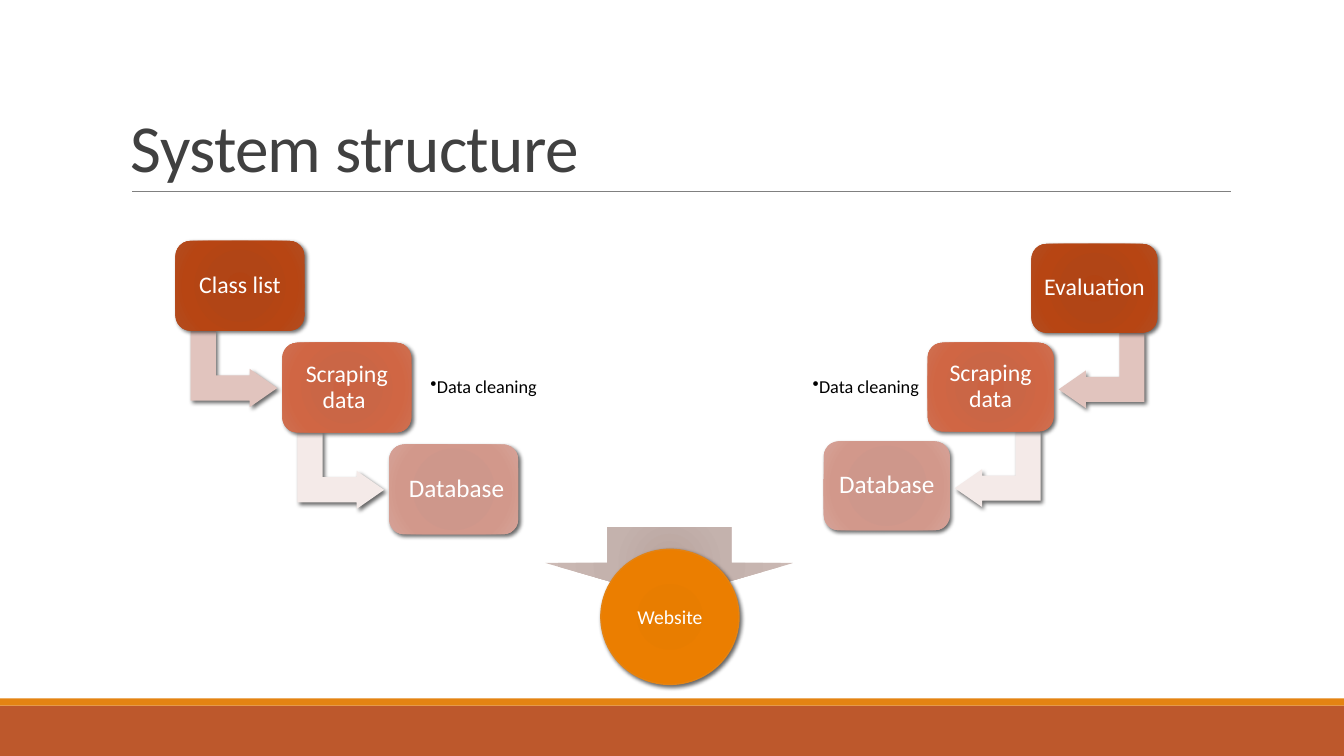
from lxml import etree
from pptx import Presentation
from pptx.dml.color import RGBColor
from pptx.enum.shapes import MSO_CONNECTOR, MSO_SHAPE
from pptx.enum.text import MSO_ANCHOR, PP_ALIGN
from pptx.oxml.ns import qn
from pptx.util import Inches, Pt

RECTANGLE = MSO_SHAPE.RECTANGLE
ROUNDED = MSO_SHAPE.ROUNDED_RECTANGLE
ELLIPSE = MSO_SHAPE.OVAL
DOWN_ARROW = MSO_SHAPE.DOWN_ARROW
BENT_UP_ARROW = MSO_SHAPE.BENT_UP_ARROW
BENT_ARROW = MSO_SHAPE.BENT_ARROW
STRAIGHT = MSO_CONNECTOR.STRAIGHT
MIDDLE, BOTTOM = MSO_ANCHOR.MIDDLE, MSO_ANCHOR.BOTTOM
LEFT, CENTER = PP_ALIGN.LEFT, PP_ALIGN.CENTER

COLORS = {
    "white": "FFFFFF", "black": "000000", "title": "404040", "rule": "808080",
    "rust": "BD582C", "orange": "E48312",
    "first_arrow": "E1C4BE", "second_arrow": "F4EAE8",
}
GRADIENTS = {
    "source": {0: "B24313", 34: "B14516", 70: "B74513", 100: "B24D21"},
    "scraping": {0: "CB6342", 34: "CA6646", 70: "D06644", 100: "CE7052"},
    "database": {0: "CD9488", 34: "CE978B", 70: "D2988B", 100: "D7A398"},
    "website": {0: "E57B00", 34: "E87D00", 70: "EB7E00", 100: "EF8407"},
    "down_arrow": {0: "B9A49E", 45: "C4B2AD", 100: "CCBAB5"},
}
LEVELS = ["source", "scraping", "database"]
ARROW_FILLS = ["first_arrow", "second_arrow"]


def rgb(name):
    return RGBColor.from_string(COLORS[name])


def add_element(parent, tag, **attributes):
    return etree.SubElement(parent, qn(tag), attributes)


def fill_radial(shape, stops):
    shape.fill.gradient()
    gradient = shape._element.spPr.find(qn("a:gradFill"))
    for child in list(gradient):
        gradient.remove(child)
    stop_list = add_element(gradient, "a:gsLst")
    for position, color in stops.items():
        stop = add_element(stop_list, "a:gs", pos=str(position * 1000))
        add_element(stop, "a:srgbClr", val=color)
    circle = add_element(gradient, "a:path", path="circle")
    add_element(circle, "a:fillToRect", **dict.fromkeys("ltrb", "100000"))


def add_shadow(shape):
    effects = shape._element.spPr.find(qn("a:effectLst"))
    shadow = add_element(effects, "a:outerShdw", blurRad=str(Pt(3)), dist=str(Pt(2)),
                         dir="2700000", algn="ctr", rotWithShape="0")
    color = add_element(shadow, "a:srgbClr", val=COLORS["black"])
    add_element(color, "a:alpha", val="60000")


def draw_shape(slide, kind, box, fill, line=None, shadow=False, rotation=0, adjustments=()):
    shape = slide.shapes.add_shape(kind, *map(Inches, box))
    shape.rotation = rotation
    for index, value in enumerate(adjustments):
        shape.adjustments[index] = value
    if fill in GRADIENTS:
        fill_radial(shape, GRADIENTS[fill])
    else:
        shape.fill.solid()
        shape.fill.fore_color.rgb = rgb(fill)
    if line:
        shape.line.color.rgb = rgb(line)
        shape.line.width = Pt(1)
    else:
        shape.line.fill.background()
    shape.shadow.inherit = False
    if shadow:
        add_shadow(shape)
    return shape


def write_text(shape, text, size, color="white", align=CENTER, anchor=MIDDLE,
               inset=(0.07, 0.07), line_spacing=0.9, tracking=None, bullet=False):
    frame = shape.text_frame
    frame.word_wrap = True
    frame.vertical_anchor = anchor
    frame.margin_left = frame.margin_right = Inches(inset[0])
    frame.margin_top = frame.margin_bottom = Inches(inset[1])
    paragraph = frame.paragraphs[0]
    paragraph.alignment = align
    paragraph.line_spacing = line_spacing
    if bullet:
        properties = paragraph._p.get_or_add_pPr()
        properties.set("marL", str(Inches(0.12)))
        properties.set("indent", "0")
        add_element(properties, "a:buChar", char="•")
    run = paragraph.add_run()
    run.text = text
    run.font.name = "Calibri"
    run.font.size = Pt(size)
    run.font.color.rgb = rgb(color)
    if tracking is not None:
        run._r.get_or_add_rPr().set("spc", str(round(tracking * 100)))


def add_label(slide, box, text, **text_format):
    write_text(slide.shapes.add_textbox(*map(Inches, box)), text, **text_format)


def add_footer(slide, left, top, width, height):
    stripe = 0.07
    draw_shape(slide, RECTANGLE, (left, top + stripe, width, height - stripe), "rust")
    draw_shape(slide, RECTANGLE, (left, top, width, stripe), "orange")


def add_title(slide, left, top, width, height):
    bottom = top + height
    rule = slide.shapes.add_connector(
        STRAIGHT, Inches(left + 0.11), Inches(bottom), Inches(left + 11.01), Inches(bottom))
    rule.line.color.rgb = rgb("rule")
    rule.line.width = Pt(0.5)
    add_element(rule._element.spPr, "a:effectLst")
    add_label(slide, (left, top, width, height), "System structure", size=48, color="title",
              align=LEFT, anchor=BOTTOM, inset=(0.1, 0.05), line_spacing=0.85, tracking=-0.5)


def add_website(slide, left, top, width, height):
    draw_shape(slide, DOWN_ARROW, (left, top, width, 0.71), "down_arrow")
    circle = draw_shape(slide, ELLIPSE, (left + 0.55, top + 0.22, 1.37, height - 0.22),
                        "website", line="orange", shadow=True)
    write_text(circle, "Website", size=14, line_spacing=1)


def add_staircase(slide, left, top, card, step, names, arrow, note):
    for index, (name, level) in enumerate(zip(names, LEVELS)):
        x, y = left + index * step[0], top + index * step[1]
        if index < len(ARROW_FILLS):
            dx, dy, width, height = arrow["box"]
            draw_shape(slide, arrow["kind"], (x + dx, y + dy, width, height), ARROW_FILLS[index],
                       shadow=True, rotation=arrow["rotation"], adjustments=arrow["adjustments"])
        box = draw_shape(slide, ROUNDED, (x, y, *card), level, shadow=True, adjustments=[0.167])
        write_text(box, name, size=18 if level == "database" else 17)
        if level == "scraping":
            dx, width = note
            add_label(slide, (x + dx, y + 0.08, width, 0.72), "Data cleaning", size=13,
                      color="black", align=LEFT, bullet=True)


def main():
    presentation = Presentation()
    presentation.slide_width, presentation.slide_height = Inches(13.33), Inches(7.5)
    slide = presentation.slides.add_slide(presentation.slide_layouts[6])
    add_footer(slide, 0, 6.93, 13.33, 0.57)
    add_title(slide, 1.2, 0.31, 11, 1.59)
    add_website(slide, 5.41, 5.23, 2.46, 1.56)
    bend = [0.33, 0.25, 0.36]
    add_staircase(
        slide, 1.74, 2.39, card=(1.28, 0.89), step=(1.06, 1.01),
        names=["Class list", "Scraping data ", " Database"], note=(1.28, 1.73),
        arrow={"kind": BENT_UP_ARROW, "rotation": 90, "adjustments": bend,
               "box": (0.2, 0.84, 0.76, 0.86)})
    add_staircase(
        slide, 10.23, 2.42, card=(1.25, 0.88), step=(-1.03, 0.98),
        names=["Evaluation", "Scraping data", "Database"], note=(-1.33, 1.77),
        arrow={"kind": BENT_ARROW, "rotation": 180, "adjustments": bend + [0],
               "box": (0.27, 0.88, 0.85, 0.75)})
    presentation.save("out.pptx")


if __name__ == "__main__":
    main()
